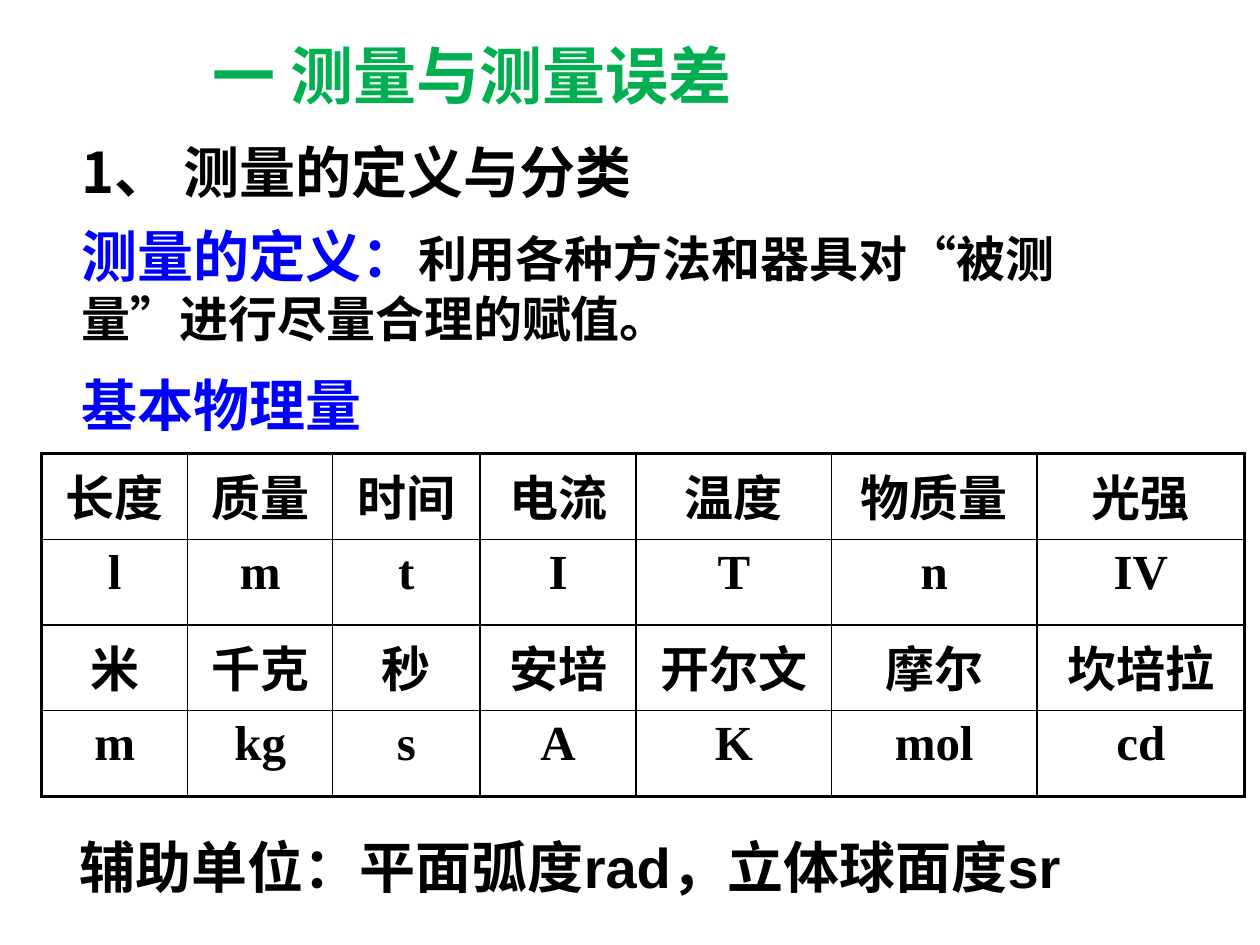
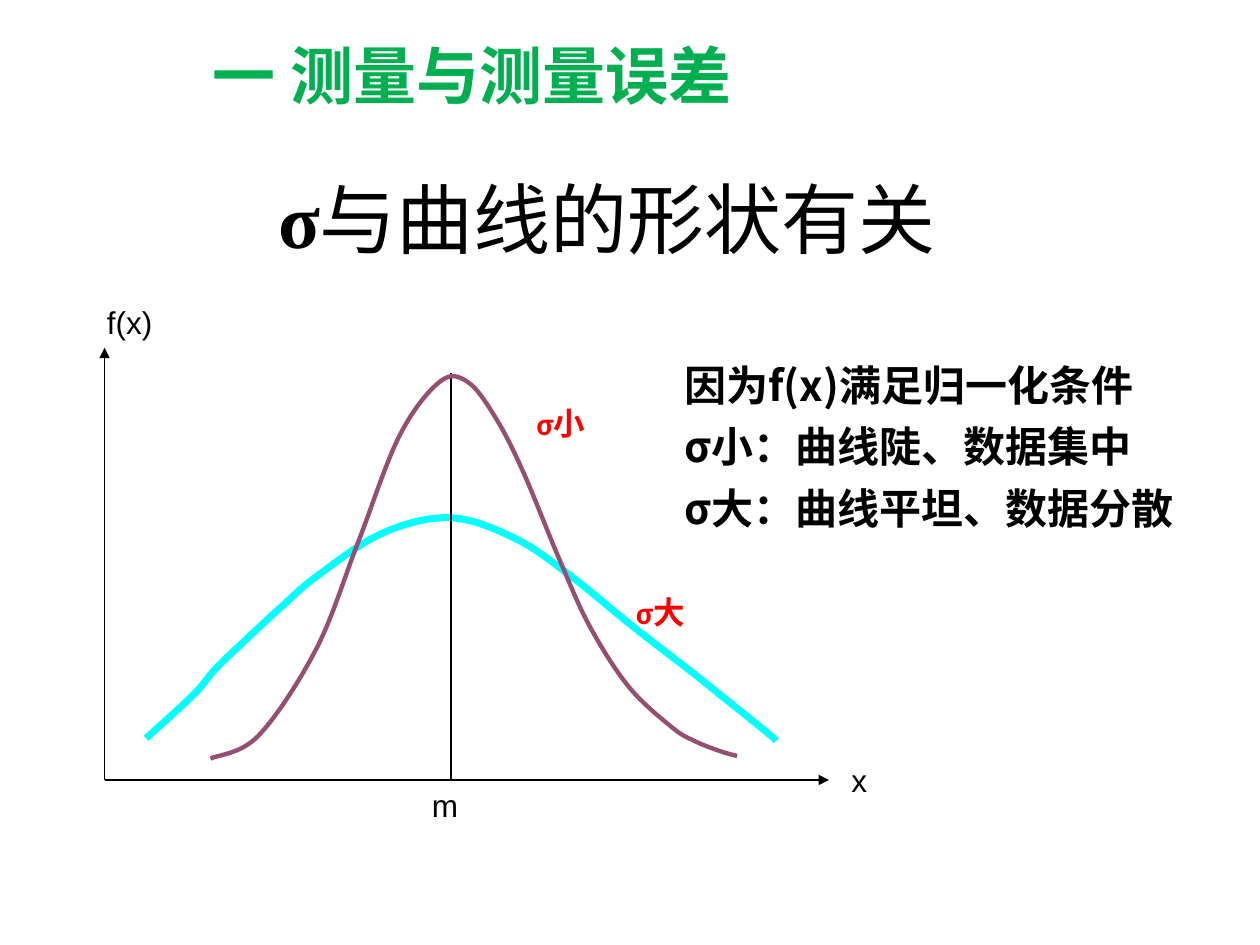
from dataclasses import dataclass
from typing import NamedTuple

from lxml import etree
from pptx import Presentation
from pptx import util as u
from pptx.dml.color import RGBColor
from pptx.enum import shapes, text
from pptx.oxml import ns

# The slide is a grid of 100 columns and 75 rows.
SLIDE_W, SLIDE_H = u.Inches(10), u.Inches(7.5)
COLS, ROWS = 100, 75

BLACK, BLUE, GREEN, RED = "000000", "0000FF", "00B050", "FF0000"
CYAN, PLUM = "00FFFF", "954F72"
CJK, SANS, SERIF, LABEL = "Noto Sans CJK SC", "Arial", "Times New Roman", "Calibri"
SECTION_TITLE = "一 测量与测量误差"


class Box(NamedTuple):
    col: float
    row: float
    cols: float
    rows: float


class Run(NamedTuple):
    text: str
    format: dict = {}


@dataclass
class Note:
    box: Box
    content: str | list[Run]
    format: dict


@dataclass
class Curve:
    color: str
    weight: float
    knots: list[tuple[float, float]]


@dataclass
class Axis:
    start: tuple[float, float]
    end: tuple[float, float]
    arrow: bool = True


TITLE_BOX = Box(15.9, 3.1, 49.1, 5.8)
TITLE_FORMAT = dict(size=36, color=GREEN, bold=True, line_spacing=0.9)

TOPIC_BOX = Box(5.5, 11, 48.8, 5.3)
BLUE_HEAD = dict(size=32, font=SANS, color=BLUE, bold=True)
QUANTITY_NOTES = [
    Note(Box(5.5, 17.1, 88.7, 11),
         [Run("测量的定义："),
          Run("利用各种方法和器具对“被测量”进行尽量合理的赋值。", dict(size=28, color=BLACK))],
         BLUE_HEAD),
    Note(Box(5.5, 28.9, 41.4, 6.3), "基本物理量", BLUE_HEAD),
    Note(Box(5.3, 65.6, 85.8, 6.3), "辅助单位：平面弧度rad，立体球面度sr",
         BLUE_HEAD | dict(color=BLACK)),
]
UNIT_TABLE_AT = (3.3, 36)
UNIT_COLS = [11.6, 11.5, 11.7, 12.4, 15.5, 16.3, 16.5]
UNIT_ROW = 6.8
UNITS = [
    ["长度", "质量", "时间", "电流", "温度", "物质量", "光强"],
    ["l", "m", "t", "I", "T", "n", "IV"],
    ["米", "千克", "秒", "安培", "开尔文", "摩尔", "坎培拉"],
    ["m", "kg", "s", "A", "K", "mol", "cd"],
]
OUTER_BORDER, INNER_BORDER = 2.25, 1

AXIS_LABEL = dict(size=18, font=SANS)
CURVE_LABEL = dict(size=18, font=LABEL, color=RED, bold=True, margin=14.2, indent=-4.2)
SIGMA_NOTES = [
    Note(Box(33.3, 61.9, 4.6, 5), "m", AXIS_LABEL),
    Note(Box(66.6, 59.9, 3.7, 5), "x", AXIS_LABEL),
    Note(Box(7.5, 23.6, 7, 5), "f(x)", AXIS_LABEL),
    Note(Box(31.6, 31.6, 23.2, 4), "σ小", CURVE_LABEL),
    Note(Box(39.5, 46.6, 21.6, 4), "σ大", CURVE_LABEL),
]
ORIGIN = (8.3, 61.9)
AXES = [
    Axis(ORIGIN, (65.8, 61.9)),
    Axis(ORIGIN, (8.3, 27.6)),
    Axis((35.8, 29.6), (35.8, 61.9), arrow=False),
]
WIDE_CURVE = Curve(CYAN, 4, [
    (11.6, 58.6), (15.4, 55.1), (17.1, 53.1), (19.6, 50.7), (22.3, 48.2), (25.2, 45.7),
    (30.4, 42.3), (35.8, 41.1), (41, 42.8), (45.4, 45.8), (50.2, 49.7), (54.6, 53.1),
    (57.1, 55.1), (59.6, 57.1), (61.2, 58.4), (61.6, 58.8)])
STEEP_CURVE = Curve(PLUM, 2.5, [
    (16.7, 60.2), (20.5, 58.4), (25.1, 51.5), (28.4, 43.1), (31.7, 34.6), (34.9, 30.3),
    (37.1, 30.3), (39.3, 33.1), (41.5, 37.4), (44.4, 44.4), (46.8, 49.7), (49.9, 54.5),
    (53.3, 57.7), (55.1, 58.8), (57.1, 59.6), (58.5, 60)])
FINDINGS_BOX = Box(53.3, 28, 46.7, 17.2)
FINDINGS = ["因为f(x)满足归一化条件", "σ小：曲线陡、数据集中", "σ大：曲线平坦、数据分散"]


def x(cols: float) -> int:
    return round(SLIDE_W * cols / COLS)


def y(rows: float) -> int:
    return round(SLIDE_H * rows / ROWS)


def place(box: Box) -> tuple[int, int, int, int]:
    return x(box.col), y(box.row), x(box.cols), y(box.rows)


def rgb(color: str) -> RGBColor:
    return RGBColor.from_string(color)


def add_run(paragraph, content: str, size: float, font: str = CJK,
            color: str = BLACK, bold: bool = False) -> None:
    run = paragraph.add_run()
    run.text = content
    run.font.size, run.font.bold, run.font.name = u.Pt(size), bold, font
    run.font.color.rgb = rgb(color)
    east_asian = etree.SubElement(run.font._element, ns.qn("a:ea"))
    east_asian.set("typeface", CJK)


def write(frame, *paragraphs: str | list[Run], align=text.PP_ALIGN.LEFT,
          line_spacing: float = 1.0, gap: float = 0, margin: float = 0,
          indent: float = 0, **font) -> None:
    """Fill a text frame; gap is the space between paragraphs in points."""
    for index, content in enumerate(paragraphs):
        paragraph = frame.add_paragraph() if index else frame.paragraphs[0]
        paragraph.alignment, paragraph.line_spacing = align, line_spacing
        paragraph.space_before = u.Pt(gap if index else 0)
        properties = paragraph._p.get_or_add_pPr()
        properties.set("marL", str(x(margin)))
        properties.set("indent", str(x(indent)))
        etree.SubElement(properties, ns.qn("a:buNone"))
        runs = [Run(content)] if isinstance(content, str) else content
        for run in runs:
            add_run(paragraph, run.text, **(font | run.format))


def set_frame(shape, anchor=text.MSO_ANCHOR.TOP):
    frame = shape.text_frame
    frame.word_wrap, frame.auto_size = True, text.MSO_AUTO_SIZE.NONE
    frame.vertical_anchor = anchor
    frame.margin_left = frame.margin_right = u.Inches(0.1)
    frame.margin_top = frame.margin_bottom = u.Inches(0.05)
    return frame


def fill_placeholder(placeholder, box: Box, *paragraphs: str, **form) -> None:
    placeholder.left, placeholder.top, placeholder.width, placeholder.height = place(box)
    write(set_frame(placeholder), *paragraphs, **form)


def add_note(slide, note: Note, anchor=text.MSO_ANCHOR.TOP) -> None:
    shape = slide.shapes.add_textbox(*place(note.box))
    write(set_frame(shape, anchor), note.content, **note.format)


def add_section_slide(deck):
    slide = deck.slides.add_slide(deck.slide_layouts[1])
    fill_placeholder(slide.shapes.title, TITLE_BOX, SECTION_TITLE, **TITLE_FORMAT)
    return slide


def set_borders(cell, weights: dict[str, float]) -> None:
    properties = cell._tc.get_or_add_tcPr()
    for index, (side, weight) in enumerate(weights.items()):
        line = etree.Element(ns.qn(f"a:ln{side}"), w=str(u.Pt(weight)))
        solid = etree.SubElement(line, ns.qn("a:solidFill"))
        etree.SubElement(solid, ns.qn("a:srgbClr"), val=BLACK)
        properties.insert(index, line)


def add_unit_table(slide) -> None:
    box = Box(*UNIT_TABLE_AT, sum(UNIT_COLS), UNIT_ROW * len(UNITS))
    table = slide.shapes.add_table(len(UNITS), len(UNIT_COLS), *place(box)).table
    table.first_row = table.horz_banding = False
    for column, width in zip(table.columns, UNIT_COLS):
        column.width = x(width)
    last_row, last_col = len(UNITS) - 1, len(UNIT_COLS) - 1
    for r, entries in enumerate(UNITS):
        table.rows[r].height = y(UNIT_ROW)
        for c, entry in enumerate(entries):
            cell = table.cell(r, c)
            cell.fill.background()
            write(cell.text_frame, entry, align=text.PP_ALIGN.CENTER,
                  size=28, font=SERIF, bold=True)
            on_edge = {"L": c == 0, "R": c == last_col, "T": r == 0, "B": r == last_row}
            set_borders(cell, {side: OUTER_BORDER if outer else INNER_BORDER
                               for side, outer in on_edge.items()})


def add_axis(slide, axis: Axis) -> None:
    (x1, y1), (x2, y2) = axis.start, axis.end
    line = slide.shapes.add_connector(
        shapes.MSO_CONNECTOR.STRAIGHT, x(x1), y(y1), x(x2), y(y2))
    line.line.width, line.line.color.rgb = u.Pt(0.75), rgb(BLACK)
    if axis.arrow:
        etree.SubElement(line.line._get_or_add_ln(), ns.qn("a:tailEnd"), type="triangle")
    etree.SubElement(line._element.spPr, ns.qn("a:effectLst"))


def smooth_segments(shape) -> None:
    """Turn the straight segments of an outline into curves through its points."""
    nodes = list(shape._element.iter(ns.qn("a:pt")))
    points = [(int(node.get("x")), int(node.get("y"))) for node in nodes]
    padded = [points[0], *points, points[-1]]
    for index, node in enumerate(nodes[1:]):
        before, start, end, after = padded[index:index + 4]
        leave = [s + (e - b) / 6 for b, s, e in zip(before, start, end)]
        arrive = [e - (a - s) / 6 for s, e, a in zip(start, end, after)]
        segment = node.getparent()
        bezier = etree.Element(ns.qn("a:cubicBezTo"))
        for px, py in (leave, arrive, end):
            etree.SubElement(bezier, ns.qn("a:pt"), x=str(round(px)), y=str(round(py)))
        segment.getparent().replace(segment, bezier)


def add_curve(slide, curve: Curve) -> None:
    first, *others = [(x(col), y(row)) for col, row in curve.knots]
    builder = slide.shapes.build_freeform(*first)
    builder.add_line_segments(others, close=False)
    shape = builder.convert_to_shape()
    shape.shadow.inherit = False
    shape.fill.background()
    shape.line.width, shape.line.color.rgb = u.Pt(curve.weight), rgb(curve.color)
    smooth_segments(shape)


def build_quantities(deck) -> None:
    slide = add_section_slide(deck)
    fill_placeholder(slide.placeholders[1], TOPIC_BOX, "1、 测量的定义与分类",
                     size=32, bold=True, line_spacing=0.9)
    for note in QUANTITY_NOTES:
        add_note(slide, note)
    add_unit_table(slide)


def build_sigma(deck) -> None:
    slide = add_section_slide(deck)
    heading = [Run("σ", dict(bold=True)), Run("与曲线的形状有关")]
    add_note(slide, Note(Box(5.7, 13.1, 85, 8.3), heading,
                         dict(size=44, font=SERIF, align=text.PP_ALIGN.CENTER)),
             anchor=text.MSO_ANCHOR.MIDDLE)
    add_curve(slide, WIDE_CURVE)
    for axis in AXES:
        add_axis(slide, axis)
    add_curve(slide, STEEP_CURVE)
    for note in SIGMA_NOTES:
        add_note(slide, note)
    fill_placeholder(slide.placeholders[1], FINDINGS_BOX, *FINDINGS,
                     size=24, bold=True, gap=6.4)


def main() -> None:
    deck = Presentation()
    deck.slide_width, deck.slide_height = SLIDE_W, SLIDE_H
    build_quantities(deck)
    build_sigma(deck)
    deck.save("out.pptx")


if __name__ == "__main__":
    main()
